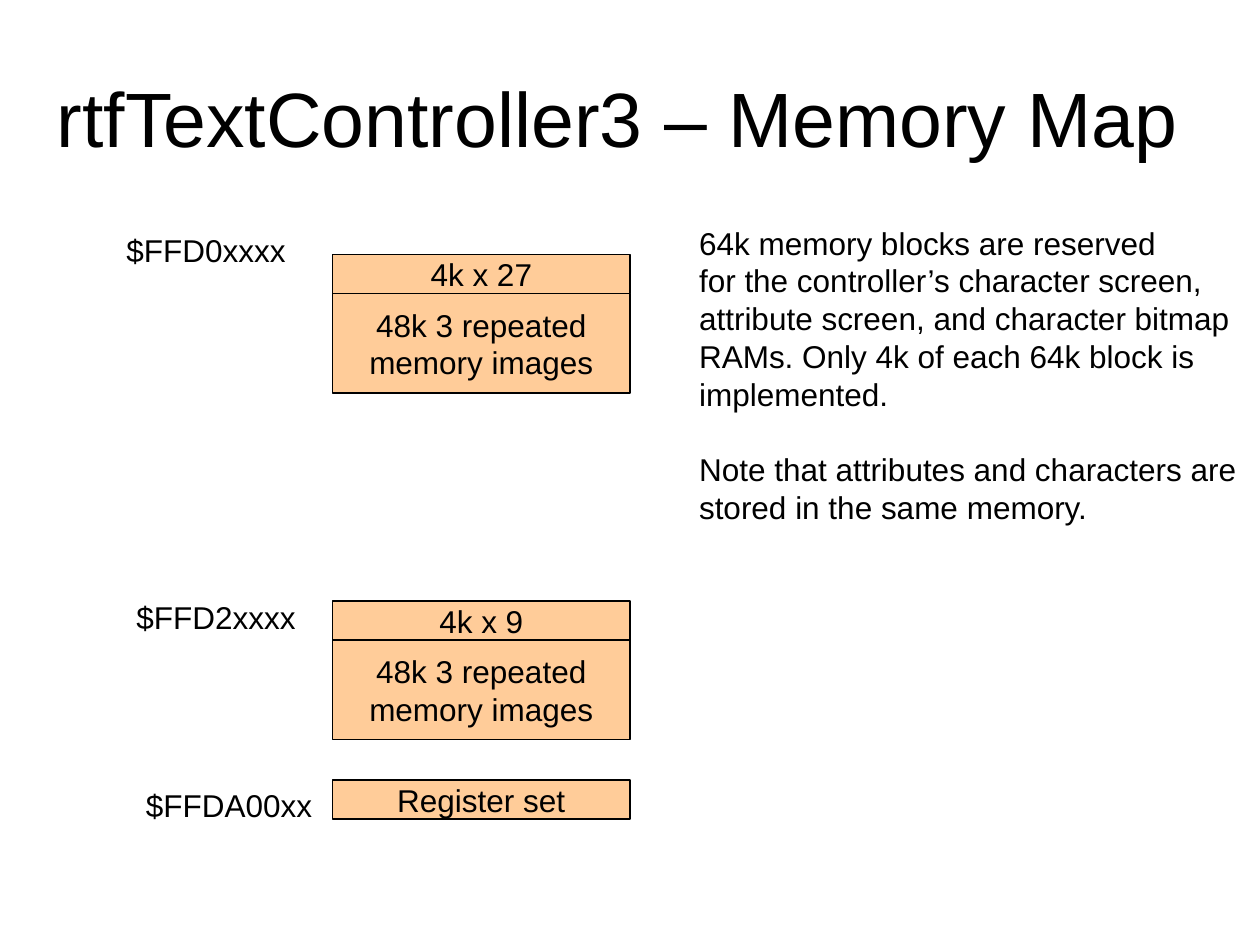
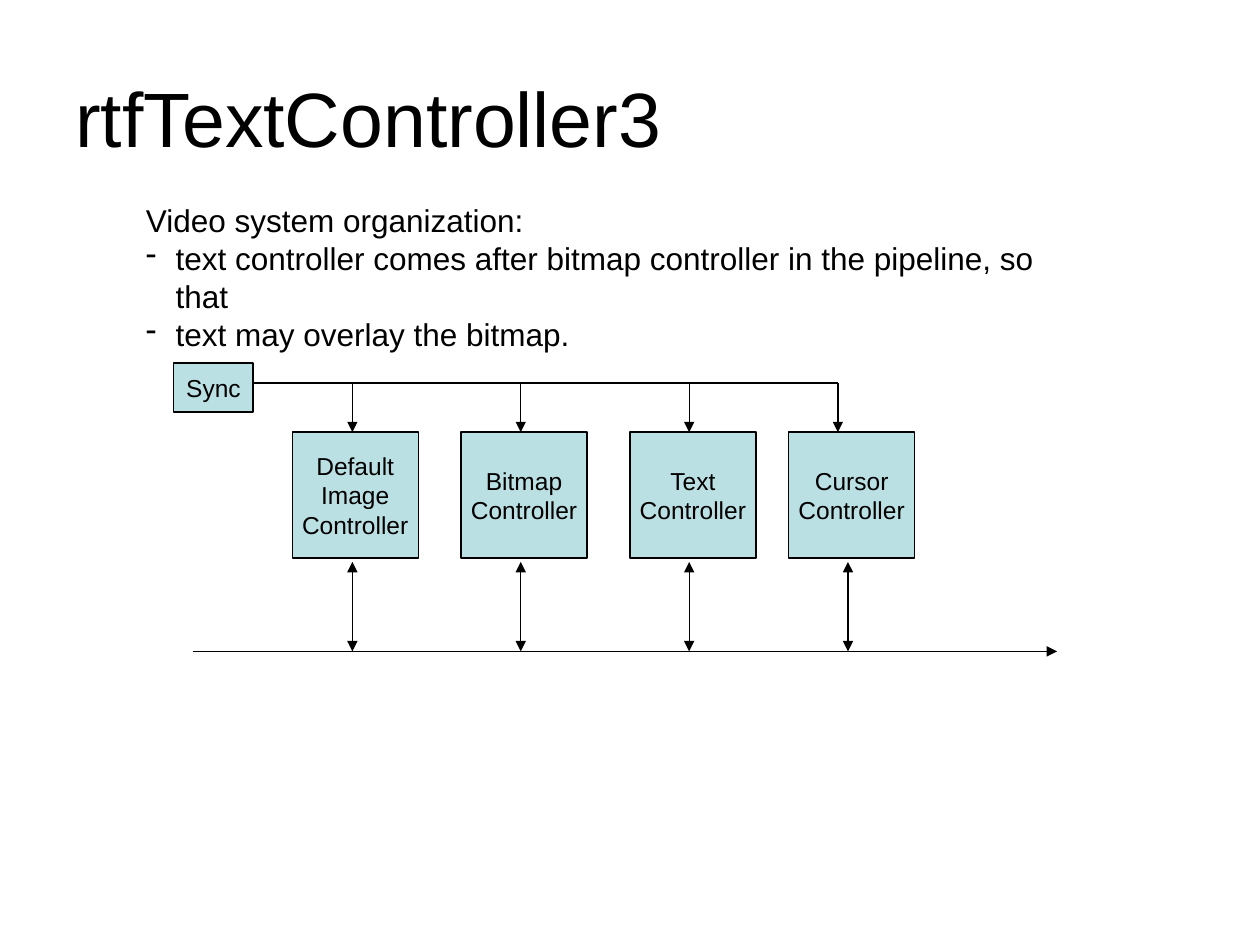
"""Build two slides on the memory map and video pipeline of a text controller."""
from dataclasses import dataclass

import lxml.etree
import pptx
import pptx.dml.color
import pptx.enum.shapes
import pptx.enum.text
import pptx.oxml.ns
import pptx.presentation
import pptx.shapes.autoshape
import pptx.slide
import pptx.util

Pt = pptx.util.Pt
Align = pptx.enum.text.PP_ALIGN
Anchor = pptx.enum.text.MSO_ANCHOR
BLACK = pptx.dml.color.RGBColor(0x00, 0x00, 0x00)
PEACH = pptx.dml.color.RGBColor(0xFF, 0xCC, 0x99)
TEAL = pptx.dml.color.RGBColor(0xBB, 0xE0, 0xE3)
FONT = "Arial"
BODY, SMALL, HEAD = 18, 14, 44
LEADING = 1.2
STROKE = Pt(0.75)


@dataclass(frozen=True)
class Rect:
    left: float
    top: float
    width: float
    height: float

    def size(self) -> list[pptx.util.Length]:
        return [Pt(side) for side in (self.left, self.top, self.width, self.height)]


@dataclass(frozen=True)
class Bank:
    address: str
    left: float
    label: float
    top: float
    title: str
    images: bool


@dataclass(frozen=True)
class Stage:
    lines: list[str]
    left: float
    tap: float
    port: float


BAR, BLOCK = 22.32, 56.88
BANKS = [
    Bank("$FFD0xxxx", 65.2, 128.5, 145.44, "4k x 27", True),
    Bank("$FFD2xxxx", 70.9, 338, 343.44, "4k x 9", True),
    Bank("$FFDA00xx", 76.32, 445.68, 445.68, "Register set", False),
]
STAGES = [
    Stage(["Default", "Image", "Controller"], 167.04, 201.4, 201.4),
    Stage(["Bitmap", "Controller"], 263.52, 297.6, 297.6),
    Stage(["Text", "Controller"], 360, 393.84, 393.84),
    Stage(["Cursor", "Controller"], 450.72, 478.8, 484.56),
]
RESERVED = [
    "64k memory blocks are reserved",
    "for the controller’s character screen,",
    "attribute screen, and character bitmap",
    "RAMs. Only 4k of each 64k block is",
    "implemented.",
]
SHARED = ["Note that attributes and characters are", "stored in the same memory."]
ORDER = [
    "Video system organization:",
    "text controller comes after bitmap controller in the pipeline, so that",
    "text may overlay the bitmap.",
]


def write(shape: pptx.shapes.autoshape.Shape, lines: list[str], size: float,
          align: Align, anchor: Anchor, wrap: bool) -> None:
    frame = shape.text_frame
    frame.word_wrap = wrap
    frame.vertical_anchor = anchor
    frame.text = "\n".join(lines)
    for para in frame.paragraphs:
        para.alignment = align
        para.line_spacing = Pt(size * LEADING)
        para.font.name = FONT
        para.font.size = Pt(size)
        para.font.color.rgb = BLACK


def add_text(slide: pptx.slide.Slide, rect: Rect, lines: list[str], size: float = BODY,
             anchor: Anchor = Anchor.TOP) -> pptx.shapes.autoshape.Shape:
    shape = slide.shapes.add_textbox(*rect.size())
    write(shape, lines, size, Align.LEFT, anchor, True)
    return shape


def add_box(slide: pptx.slide.Slide, rect: Rect, lines: list[str], size: float,
            fill: pptx.dml.color.RGBColor) -> None:
    kind = pptx.enum.shapes.MSO_SHAPE.RECTANGLE
    shape = slide.shapes.add_shape(kind, *rect.size())
    shape.shadow.inherit = False
    shape.fill.solid()
    shape.fill.fore_color.rgb = fill
    shape.line.color.rgb = BLACK
    shape.line.width = STROKE
    write(shape, lines, size, Align.CENTER, Anchor.MIDDLE, False)


def add_line(slide: pptx.slide.Slide, start: tuple[float, float],
             end: tuple[float, float], *tips: str) -> None:
    kind = pptx.enum.shapes.MSO_CONNECTOR.STRAIGHT
    line = slide.shapes.add_connector(kind, *(Pt(spot) for spot in start + end))
    line.line.color.rgb = BLACK
    line.line.width = STROKE
    for tip in tips:
        mark = lxml.etree.SubElement(line.line._get_or_add_ln(), pptx.oxml.ns.qn(tip))
        mark.set("type", "triangle")
    lxml.etree.SubElement(line._element.spPr, pptx.oxml.ns.qn("a:effectLst"))


def add_slide(deck: pptx.presentation.Presentation, title: str,
              left: float) -> pptx.slide.Slide:
    slide = deck.slides.add_slide(deck.slide_layouts[6])
    rect = Rect(left, 21.6, 720 - 2 * left, 90)
    add_text(slide, rect, [title], HEAD, Anchor.MIDDLE)
    return slide


def draw_map(deck: pptx.presentation.Presentation) -> None:
    slide = add_slide(deck, "rtfTextController3 – Memory Map", 25.4)
    left, width = 190.08, 169.92
    for bank in BANKS:
        label = Rect(bank.left, bank.label, 113, 28.8)
        add_text(slide, label, [bank.address])
        add_box(slide, Rect(left, bank.top, width, BAR), [bank.title], BODY, PEACH)
        if bank.images:
            block = Rect(left, bank.top + BAR, width, BLOCK)
            add_box(slide, block, ["48k 3 repeated", "memory images"], BODY, PEACH)
    notes = add_text(slide, Rect(392.4, 124.2, 327, 180), RESERVED + SHARED)
    gap = notes.text_frame.paragraphs[len(RESERVED) - 1]
    gap.space_after = Pt(BODY * LEADING)


def draw_video(deck: pptx.presentation.Presentation) -> None:
    slide = add_slide(deck, "rtfTextController3", 36)
    bus, top, side, pipe = 218.88, 246.96, 72, 372.24
    add_box(slide, Rect(99.36, 207.36, 45.36, 28.08), ["Sync"], SMALL, TEAL)
    add_line(slide, (144.72, bus), (STAGES[-1].tap, bus))
    add_line(slide, (110.16, pipe), (604.08, pipe), "a:tailEnd")
    for stage in STAGES:
        add_box(slide, Rect(stage.left, top, side, side), stage.lines, SMALL, TEAL)
        add_line(slide, (stage.tap, bus), (stage.tap, top), "a:tailEnd")
        add_line(slide, (stage.port, pipe), (stage.port, 321.12),
                 "a:headEnd", "a:tailEnd")
    text = add_text(slide, Rect(76.32, 111.6, 545.76, 72), ORDER)
    for para in text.text_frame.paragraphs[1:]:
        props = para._p.get_or_add_pPr()
        props.set("marL", str(Pt(17)))
        props.set("indent", str(-Pt(17)))
        mark = lxml.etree.Element(pptx.oxml.ns.qn("a:buChar"), char="-")
        props.find(pptx.oxml.ns.qn("a:defRPr")).addprevious(mark)


def main() -> None:
    deck = pptx.Presentation()
    deck.slide_width, deck.slide_height = Pt(720), Pt(540)
    draw_map(deck)
    draw_video(deck)
    deck.save("out.pptx")


if __name__ == "__main__":
    main()
